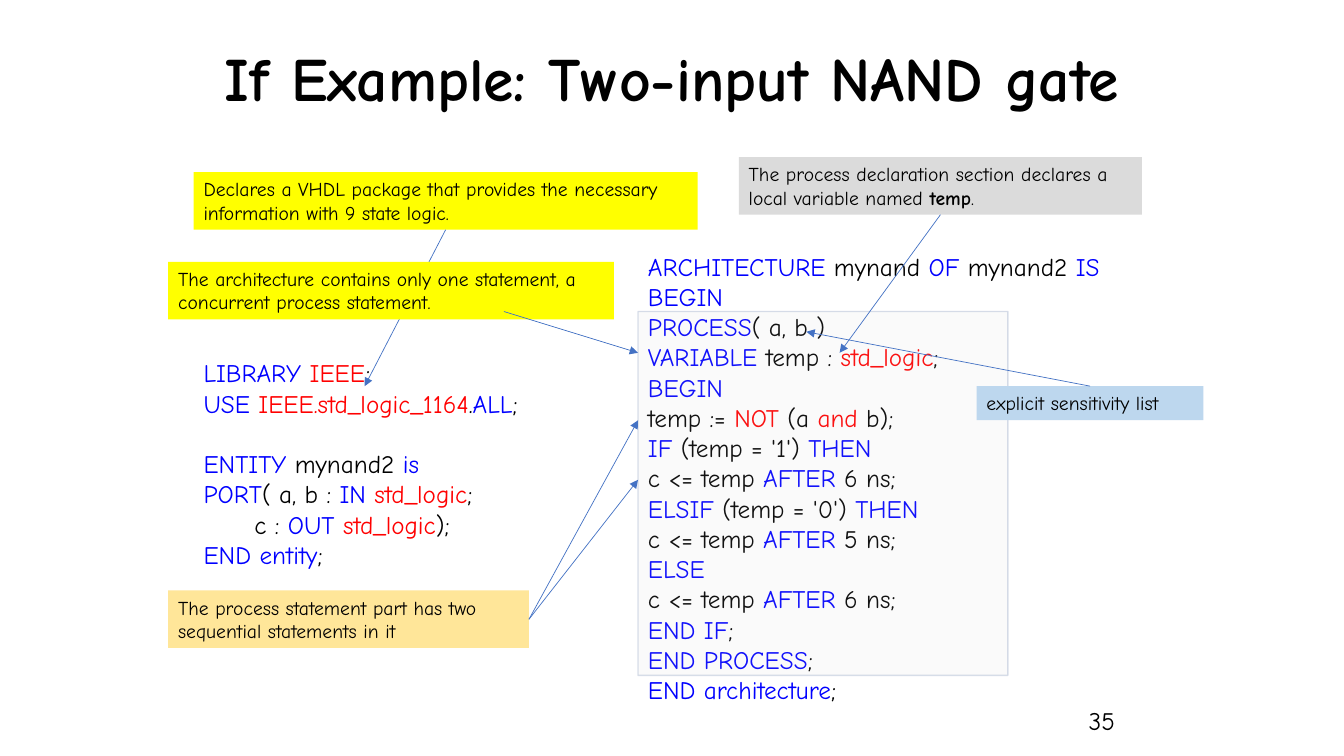
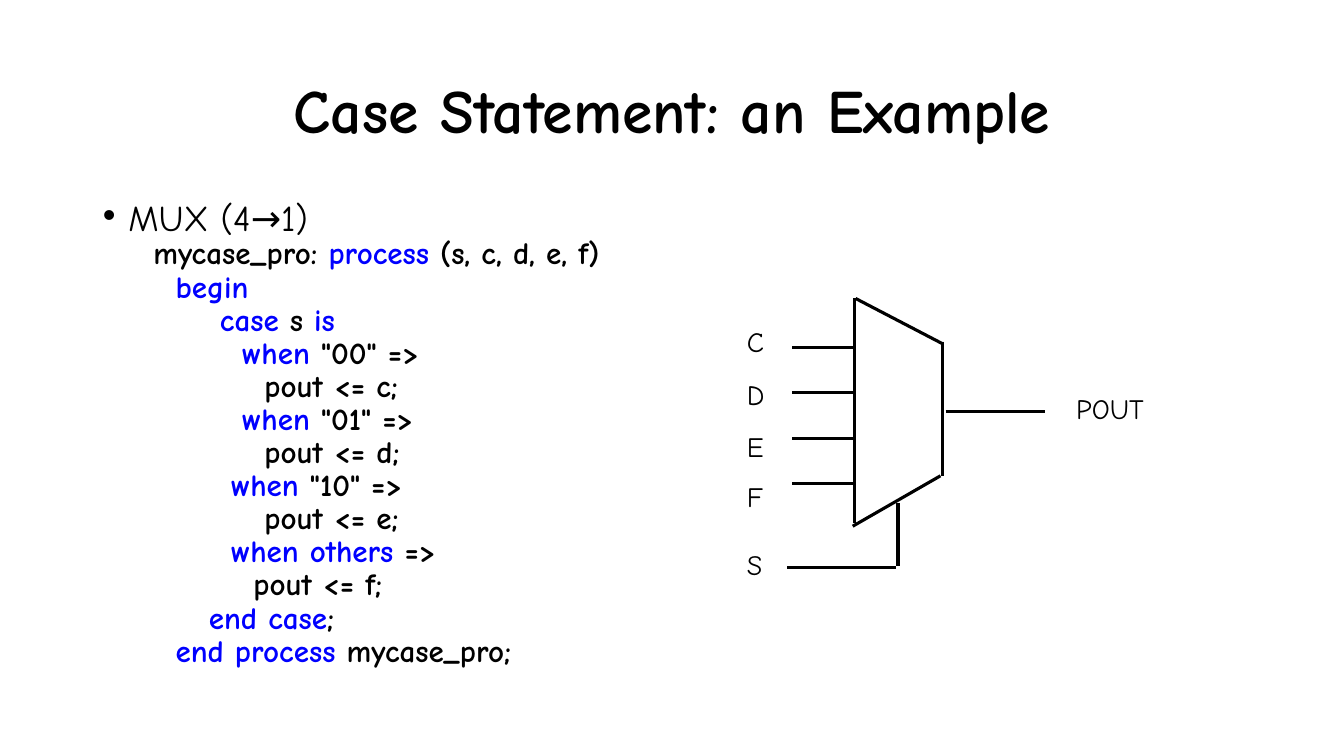
from dataclasses import dataclass
from typing import Any, Optional

import pptx
import pptx.dml.color
import pptx.enum.shapes
import pptx.enum.text
import pptx.oxml
import pptx.oxml.ns
import pptx.util

Cm = pptx.util.Cm
Pt = pptx.util.Pt
Align = pptx.enum.text.PP_ALIGN
Anchor = pptx.enum.text.MSO_ANCHOR
Box = tuple[float, float, float, float]
Spot = tuple[float, float]

FONT = "Comic Neue"
COLORS = {
    "black": "000000", "blue": "0000FF", "red": "FF0000", "arrow": "4472C4",
    "yellow": "FFFF00", "gray": "DBDBDB", "sand": "FFE699", "sky": "BDD7EE",
    "panel": "C9C9C9", "edge": "325491",
}
# Paired marks in text: *keyword*, ^type or operator^, #bold#
MARKS = {"*": "blue", "^": "red", "#": "black", "": "black"}
BOTTOM, RIGHT, TOP = 2, 3, 0


@dataclass
class Row:
    text: str
    pad: float = 0
    gap: float = 0


@dataclass
class Note:
    text: str
    box: Box
    color: str
    tips: list[Spot]
    side: int = BOTTOM
    start: Optional[Spot] = None


@dataclass
class Label:
    text: str
    left: float
    top: float
    width: float = 1.02


# Content
ENTITY = [
    Row("*LIBRARY*^ IEEE^;"),
    Row("*USE *^IEEE.std_logic_1164^.*ALL*;"),
    Row("*ENTITY *mynand2 *is*", gap=21.6),
    Row("*PORT*( a, b : *IN *^std_logic^;"),
    Row("c : *OUT *^std_logic^);", pad=1.28),
    Row("*END entity*;"),
]
ARCH = [Row(text) for text in (
    "*ARCHITECTURE* mynand *OF* mynand2 *IS*",
    "*BEGIN*",
    "*PROCESS*( a, b )",
    "*VARIABLE* temp : ^std_logic^;",
    "*BEGIN*",
    "temp := ^NOT^ (a ^and ^b);",
    "*IF* (temp = '1') *THEN*",
    "c <= temp *AFTER* 6 ns;",
    "*ELSIF* (temp = '0') *THEN*",
    "c <= temp *AFTER* 5 ns;",
    "*ELSE*",
    "c <= temp *AFTER* 6 ns;",
    "*END IF*;",
    "*END PROCESS*;",
    "*END architecture*;",
)]
FIRST = Note("Declares a VHDL package that provides the necessary information "
             "with 9 state logic.", (4.88, 4.34, 12.7, 1.45), "yellow", [(9.19, 9.73)])
NOTES = [
    Note("The architecture contains only one statement, a concurrent process statement.",
         (4.24, 6.6, 11.23, 1.45), "yellow", [(16.08, 8.89)], start=(12.7, 7.85)),
    Note("The process declaration section declares a local variable named #temp#.",
         (18.62, 3.96, 10.16, 1.45), "gray", [(21.16, 8.89)]),
    Note("The process statement part has two sequential statements in it",
         (4.24, 14.88, 9.09, 1.45), "sand", [(16.08, 10.59), (16.08, 12.09)], RIGHT),
    Note("explicit sensitivity list",
         (24.61, 9.73, 5.72, 0.86), "sky", [(20.32, 8.36)], TOP),
]
STEP = 0.28  # one indent step of the process code
CASE = [Row(text, pad * STEP, 5) for text, pad in (
    ("mycase_pro: *process* (s, c, d, e, f)", 0),
    ("*begin*", 2),
    ("*case* s *is*", 6),
    ('*when* "00" =>', 8),
    ("pout <= c;", 10),
    ('*when *"01" =>', 8),
    ("pout <= d;", 10),
    ('*when *"10" =>', 7),
    ("pout <= e;", 10),
    ("*when others *=>", 7),
    ("pout <= f;", 9),
    ("*end case*;", 5),
    ("*end process *mycase_pro;", 2),
)]
PINS = [(19.96, 8.76 + 1.14 * i, 21.51, 8.76 + 1.14 * i) for i in range(4)]
WIRES = [
    (21.54, 7.52, 21.54, 13.18),   # left side
    (21.56, 7.52, 23.75, 8.66),    # upper slope
    (21.49, 13.26, 23.7, 11.99),   # lower slope
    (23.75, 8.61, 23.75, 11.99),   # right side
    *PINS,
    (22.63, 12.67, 22.63, 14.27),  # select
    (22.58, 14.3, 19.84, 14.3),
    (23.83, 10.36, 26.34, 10.36),  # output
]
LABELS = [Label(name, 18.57, top) for name, top in
          zip("CDEFS", (8.05, 9.4, 10.69, 11.96, 13.67))]
LABELS.append(Label("POUT", 26.87, 9.73, 2.49))


# Helpers
def tint(name: str) -> pptx.dml.color.RGBColor:
    return pptx.dml.color.RGBColor.from_string(COLORS[name])


def node(tag: str, **attrs: str) -> Any:
    item = pptx.oxml.parse_xml(f"<a:{tag} {pptx.oxml.ns.nsdecls('a')}/>")
    for key, value in attrs.items():
        item.set(key, value)
    return item


def fade(fill: Any, share: int) -> None:
    color = fill._xPr.find(".//" + pptx.oxml.ns.qn("a:srgbClr"))
    color.append(node("alpha", val=str(share * 1000)))


def style(run: Any, size: float, color: str = "black", bold: bool = False) -> None:
    run.font.name, run.font.size, run.font.bold = FONT, Pt(size), bold
    run.font.color.rgb = tint(color)


def parts(text: str) -> list[tuple[str, str]]:
    """Split marked text into (mark, words) pairs."""
    found, mark, words = [], "", ""
    for char in text:
        if char in MARKS:
            found.append((mark, words))
            mark, words = ("" if char == mark else char), ""
        else:
            words += char
    found.append((mark, words))
    return [pair for pair in found if pair[1]]


def write(para: Any, text: str, size: float, bold: bool = False) -> None:
    for mark, words in parts(text):
        run = para.add_run()
        run.text = words
        style(run, size, MARKS[mark], bold or mark == "#")


def inset(para: Any, left: float, first: float = 0) -> None:
    props = para._p.get_or_add_pPr()
    props.set("marL", str(Cm(left)))
    props.set("indent", str(Cm(first)))


def place(shape: Any, box: Box) -> None:
    shape.left, shape.top, shape.width, shape.height = map(Cm, box)


def label(slide: Any, box: Box, rows: list[Row], size: float) -> Any:
    frame = slide.shapes.add_textbox(*map(Cm, box)).text_frame
    frame.word_wrap = True
    for i, row in enumerate(rows):
        para = frame.add_paragraph() if i else frame.paragraphs[0]
        write(para, row.text, size)
        if row.pad:
            inset(para, row.pad)
        if row.gap:
            para.space_before = Pt(row.gap)
    return frame


def block(slide: Any, box: Box, color: str) -> Any:
    shape = slide.shapes.add_shape(
        pptx.enum.shapes.MSO_SHAPE.RECTANGLE, *map(Cm, box))
    shape.shadow.inherit = False
    shape.fill.solid()
    shape.fill.fore_color.rgb = tint(color)
    shape.line.fill.background()
    return shape


def wire(slide: Any, ends: Box, color: str, width: float, head: bool = False) -> Any:
    line = slide.shapes.add_connector(
        pptx.enum.shapes.MSO_CONNECTOR.STRAIGHT, *map(Cm, ends))
    line.line.color.rgb = tint(color)
    line.line.width = Pt(width)
    if head:
        line.line._get_or_add_ln().append(node("tailEnd", type="triangle"))
    line._element.spPr.append(node("effectLst"))
    return line


def callout(slide: Any, note: Note) -> None:
    shape = block(slide, note.box, note.color)
    frame = shape.text_frame
    frame.word_wrap = True
    frame.vertical_anchor = Anchor.TOP
    frame.paragraphs[0].alignment = Align.LEFT
    write(frame.paragraphs[0], note.text, 14)
    for tip in note.tips:
        line = wire(slide, (*(note.start or note.box[:2]), *tip), "arrow", 0.5, True)
        if note.start is None:
            line.begin_connect(shape, note.side)


def start(deck: Any, layout: int, title: str, height: float) -> Any:
    slide = deck.slides.add_slide(deck.slide_layouts[layout])
    shape = slide.shapes.title
    place(shape, (2.34, 1.02, 29.21, height))
    frame = shape.text_frame
    frame.text = title
    frame.vertical_anchor = Anchor.MIDDLE
    para = frame.paragraphs[0]
    para.alignment, para.line_spacing = Align.CENTER, 0.9
    style(para.runs[0], 44, bold=True)
    return slide


# Slides
def nand(deck: Any) -> None:
    slide = start(deck, 5, "If Example: Two-input NAND gate", 2.08)
    page = label(slide, (22.43, 17.65, 5.92, 1.02), [Row("35")], 18)
    page.vertical_anchor = Anchor.MIDDLE
    page.paragraphs[0].alignment = Align.RIGHT
    label(slide, (4.88, 8.89, 8.69, 7.19), ENTITY, 18)
    label(slide, (16.08, 6.2, 12.7, 11.81), ARCH, 18)
    callout(slide, FIRST)
    # Pale frame over the process
    panel = block(slide, (16.08, 7.85, 9.32, 9.17), "panel")
    fade(panel.fill, 9)
    panel.line.color.rgb = tint("edge")
    panel.line.width = Pt(1)
    fade(panel.line.fill, 19)
    for note in NOTES:
        callout(slide, note)


def mux(deck: Any) -> None:
    slide = start(deck, 1, "Case Statement: an Example", 3.68)
    body = slide.placeholders[1]
    place(body, (2.34, 5.08, 29.21, 12.09))
    frame = body.text_frame
    frame.auto_size = pptx.enum.text.MSO_AUTO_SIZE.NONE
    frame.text = "MUX (4→1)"
    lead = frame.paragraphs[0]
    style(lead.runs[0], 25.9)
    inset(lead, 0.64, -0.64)
    lead.line_spacing, lead.space_before = 0.7, Pt(10)
    for row in CASE:
        para = frame.add_paragraph()
        para.level = 1
        write(para, row.text, 22.2, True)
        para.line_spacing, para.space_before = 0.7, Pt(row.gap)
        inset(para, 1.27 + row.pad)
        para._p.get_or_add_pPr().append(node("buNone"))
    # Multiplexer
    for ends in WIRES:
        wire(slide, ends, "black", 2.25)
    for tag in LABELS:
        label(slide, (tag.left, tag.top, tag.width, 1.09), [Row(tag.text)], 20)


def main() -> None:
    deck = pptx.Presentation()
    deck.slide_width, deck.slide_height = Cm(33.87), Cm(19.05)
    nand(deck)
    mux(deck)
    deck.save("out.pptx")


if __name__ == "__main__":
    main()
